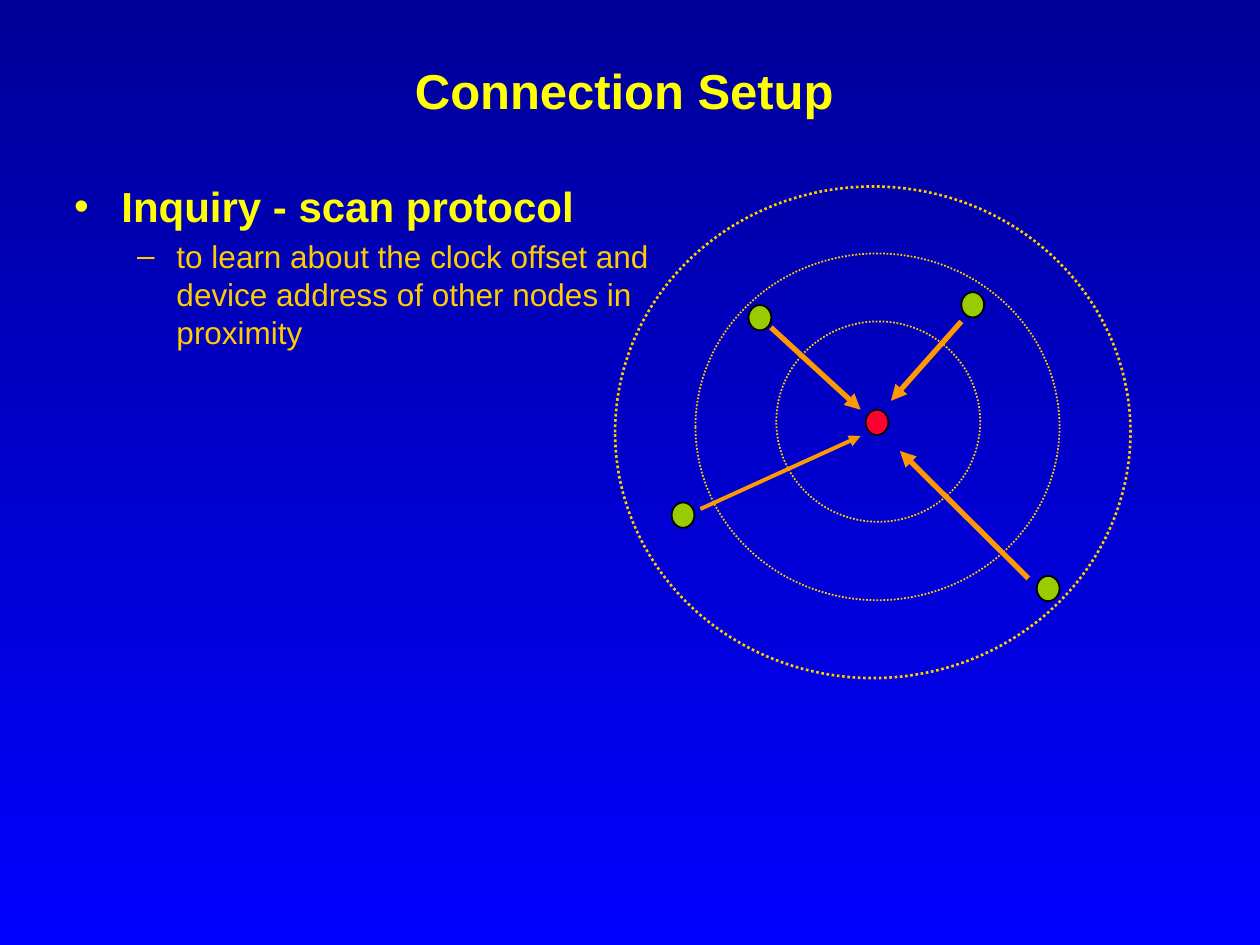
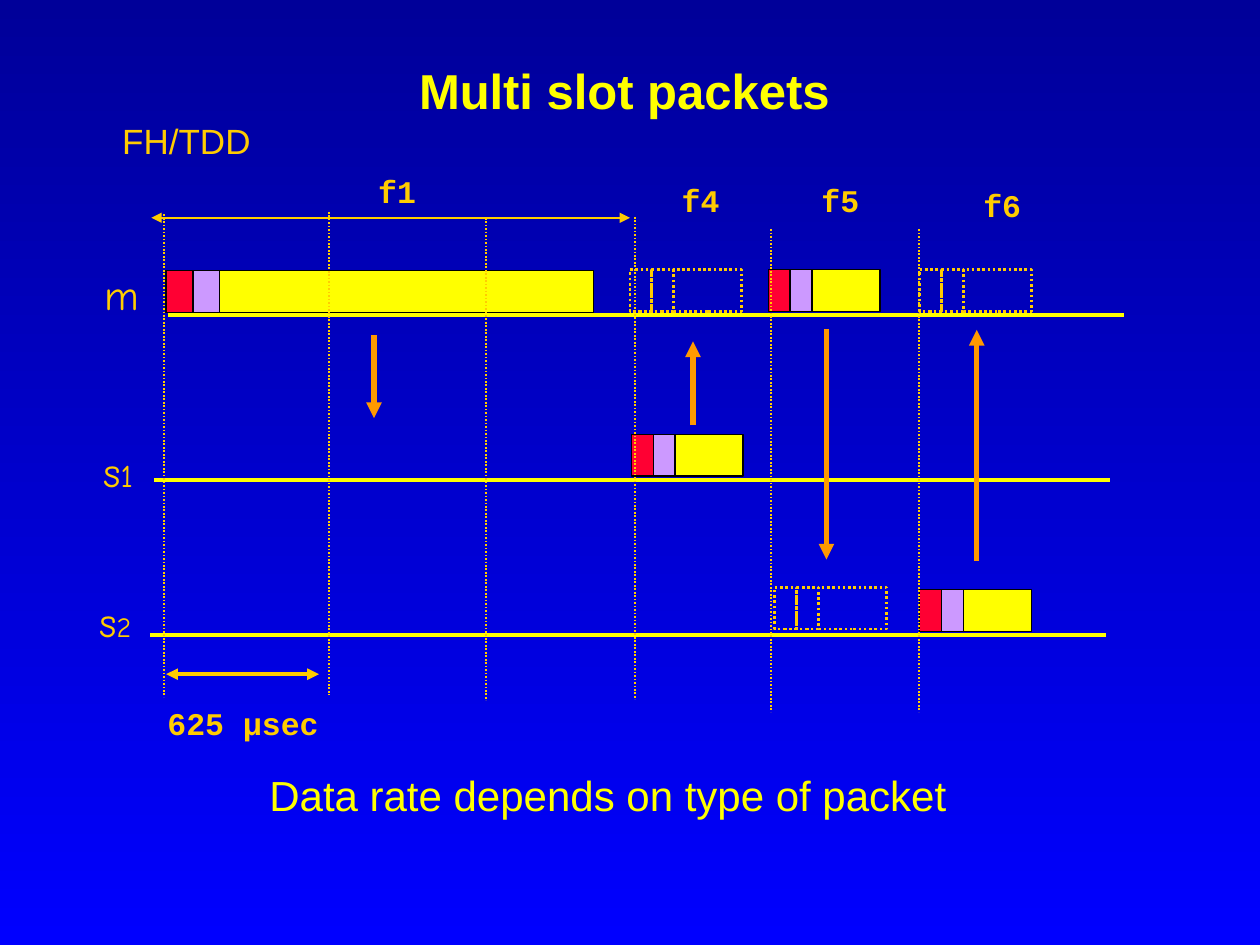
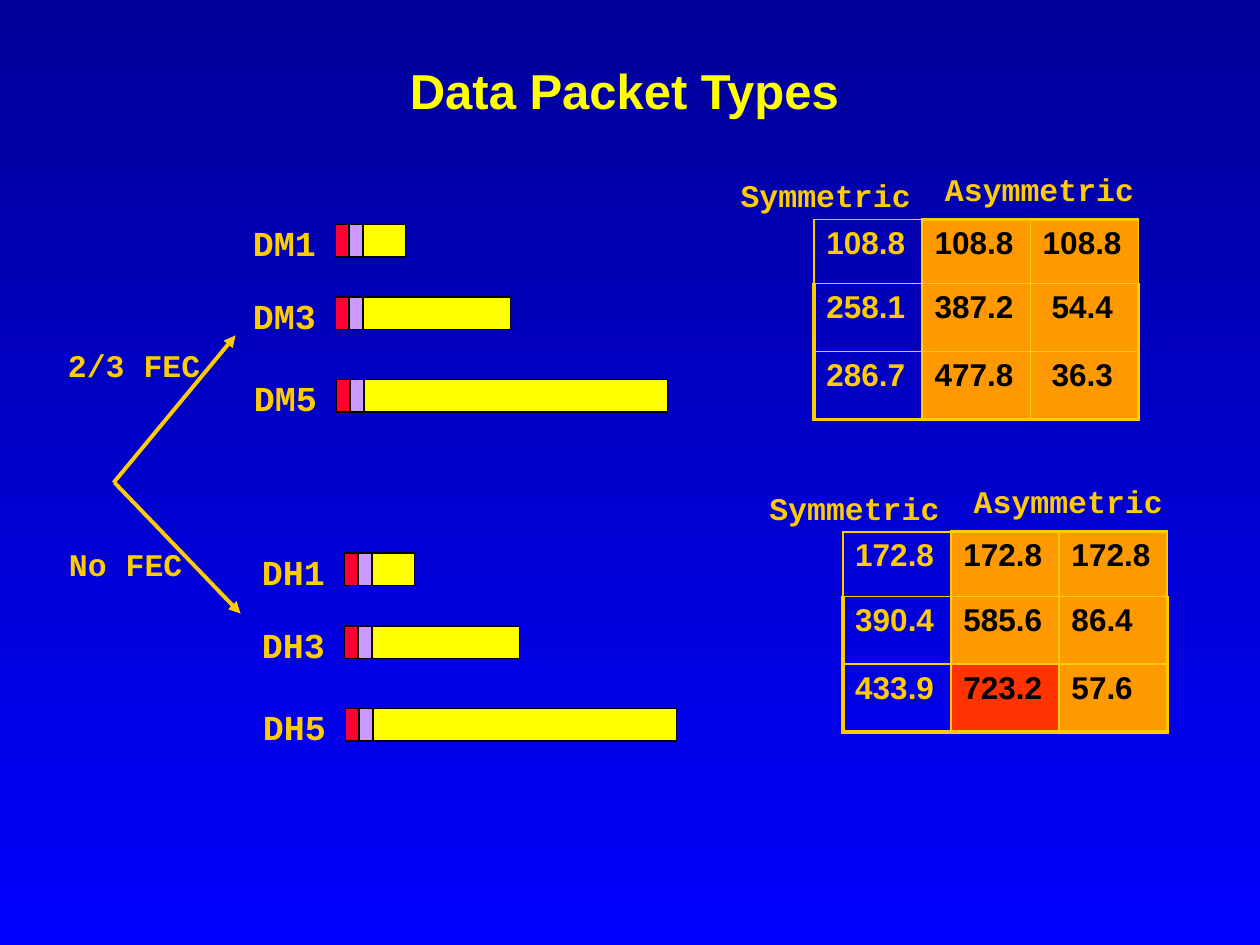
"""Build three slides on short-range radio connection setup and packet types."""
from dataclasses import dataclass

from lxml.etree import SubElement
from pptx import Presentation
from pptx.dml.color import RGBColor
from pptx.enum.dml import MSO_LINE
from pptx.enum.shapes import MSO_CONNECTOR, MSO_SHAPE
from pptx.enum.text import MSO_ANCHOR, MSO_AUTO_SIZE, PP_ALIGN
from pptx.oxml.ns import qn
from pptx.util import Cm, Pt


@dataclass(frozen=True)
class Theme:
    night: RGBColor = RGBColor(0x00, 0x00, 0x99)
    blue: RGBColor = RGBColor(0x00, 0x00, 0xFF)
    yellow: RGBColor = RGBColor(0xFF, 0xFF, 0x00)
    gold: RGBColor = RGBColor(0xFF, 0xCC, 0x00)
    orange: RGBColor = RGBColor(0xFF, 0x99, 0x00)
    red: RGBColor = RGBColor(0xFF, 0x00, 0x33)
    highlight: RGBColor = RGBColor(0xFF, 0x33, 0x00)
    violet: RGBColor = RGBColor(0xCC, 0x99, 0xFF)
    green: RGBColor = RGBColor(0x99, 0xCC, 0x00)
    black: RGBColor = RGBColor(0x00, 0x00, 0x00)
    sans: str = "Arial"
    mono: str = "Courier New"
    hand: str = "Comic Neue"
    title: int = 28
    large: int = 24
    medium: int = 20
    normal: int = 18
    small: int = 16


THEME = Theme()


def add_outline(slide, kind, at, fill, line, width, dash=None):
    """Add a preset shape with an optional fill; at is in centimetres."""
    shape = slide.shapes.add_shape(kind, *map(Cm, at))
    shape.shadow.inherit = False
    if fill is None:
        shape.fill.background()
    else:
        shape.fill.solid()
        shape.fill.fore_color.rgb = fill
    shape.line.color.rgb = line
    shape.line.width = Pt(width)
    shape.line.dash_style = dash


def add_line(slide, start, end, color, width, dash=None, arrows=()):
    """Add a straight line; arrows names the ends that carry a triangle."""
    connector = slide.shapes.add_connector(MSO_CONNECTOR.STRAIGHT, *map(Cm, start + end))
    connector.line.color.rgb = color
    connector.line.width = Pt(width)
    connector.line.dash_style = dash
    properties = connector.element.spPr
    for arrow in arrows:
        SubElement(properties.find(qn("a:ln")), qn(f"a:{arrow}"), type="triangle")
    SubElement(properties, qn("a:effectLst"))


TO_END = ("tailEnd",)
BOTH_ENDS = ("headEnd", "tailEnd")
DOTTED = MSO_LINE.ROUND_DOT

prs = Presentation()
prs.slide_width, prs.slide_height = Cm(25.4), Cm(19.05)

backdrop = prs.slide_master.background.fill
backdrop.gradient()
backdrop.gradient_angle = 270
for stop, color in zip(backdrop.gradient_stops, (THEME.night, THEME.blue)):
    stop.color.rgb = color

slides = []
for heading, layout in (("Connection Setup", 1), ("Multi slot packets", 5), ("Data Packet Types", 5)):
    slide = prs.slides.add_slide(prs.slide_layouts[layout])
    title = slide.shapes.title
    title.left, title.top, title.width, title.height = map(Cm, (2.74, 1.07, 19.69, 1.47))
    frame = title.text_frame
    frame.auto_size = MSO_AUTO_SIZE.NONE
    frame.vertical_anchor = MSO_ANCHOR.MIDDLE
    frame.margin_left = frame.margin_top = frame.margin_right = frame.margin_bottom = 0
    frame.paragraphs[0].alignment = PP_ALIGN.CENTER
    run = frame.paragraphs[0].add_run()
    run.text = heading
    run.font.name, run.font.size, run.font.bold = THEME.sans, Pt(THEME.title), True
    run.font.color.rgb = THEME.yellow
    slides.append(slide)
setup, multi_slot, packet_types = slides

inquiry = setup.placeholders[1]
inquiry.left, inquiry.top, inquiry.width, inquiry.height = map(Cm, (1.24, 3.51, 12.52, 4.45))
inquiry.text_frame.auto_size = MSO_AUTO_SIZE.NONE
for level, (wording, size, color) in enumerate((
    ("Inquiry - scan protocol", THEME.large, THEME.yellow),
    ("to learn about the clock offset and device address of other nodes in proximity",
     THEME.normal, THEME.gold),
)):
    paragraph = inquiry.text_frame.add_paragraph() if level else inquiry.text_frame.paragraphs[0]
    paragraph.level = level
    paragraph.space_before = Pt(size * 0.2 * level)
    run = paragraph.add_run()
    run.text = wording
    run.font.name, run.font.size, run.font.bold = THEME.sans, Pt(size), level == 0
    run.font.color.rgb = color

NODE = (0.46, 0.51)
add_outline(setup, MSO_SHAPE.OVAL, (17.45, 8.26) + NODE, THEME.red, THEME.black, 1)
for ring, width in (
    ((14.02, 5.11, 7.34, 6.99), 1),
    ((15.65, 6.48, 4.11, 4.04), 1),
    ((12.4, 3.76, 10.39, 9.91), 1.5),
):
    add_outline(setup, MSO_SHAPE.OVAL, ring, None, THEME.gold, width, DOTTED)
for node, start, end, width in (
    ((13.54, 10.13), (14.12, 10.26), (17.35, 8.79), 2.25),
    ((15.09, 6.15), (15.54, 6.6), (17.35, 8.26), 3),
    ((19.38, 5.89), (19.38, 6.48), (17.96, 8.08), 3),
    ((20.9, 11.61), (20.73, 11.66), (18.14, 9.09), 3),
):
    add_line(setup, start, end, THEME.orange, width, arrows=TO_END)
    add_outline(setup, MSO_SHAPE.OVAL, node + NODE, THEME.green, THEME.black, 1)

mono_bold = (THEME.mono, True, THEME.gold)
centered = (PP_ALIGN.CENTER, MSO_ANCHOR.MIDDLE)
top_left = (PP_ALIGN.LEFT, MSO_ANCHOR.TOP)
labels = [
    (multi_slot, (1.98, 2.29, 3.56, 1.09), [("FH/TDD", THEME.medium)],
     (THEME.sans, False, THEME.gold), centered),
    (multi_slot, (5.18, 15.39, 14.15, 1.27), [("Data rate depends on type of packet", THEME.large)],
     (THEME.sans, False, THEME.yellow), (PP_ALIGN.LEFT, MSO_ANCHOR.MIDDLE)),
]

for left, top, label_at, station in (
    (3.38, 6.35, (1.85, 5.28, 1.17, 1.27), [("m", THEME.large)]),
    (3.1, 9.68, (1.83, 8.86, 1.22, 1.27), [("s", THEME.large), ("1", THEME.normal)]),
    (3.02, 12.8, (1.75, 11.89, 1.27, 1.27), [("s", THEME.large), ("2", THEME.small)]),
):
    add_line(multi_slot, (left, top), (left + 19.28, top), THEME.yellow, 2.25)
    labels.append((multi_slot, label_at, station, (THEME.hand, False, THEME.gold), top_left))

for at, wording in (
    ((3.12, 14.07, 3.56, 1.02), "625 µsec"),
    ((7.37, 3.33, 1.27, 1.02), "f1"),
    ((13.44, 3.53, 1.37, 1.02), "f4"),
    ((16.1, 3.53, 1.68, 1.02), "f5"),
    ((19.25, 3.63, 1.91, 1.02), "f6"),
):
    labels.append((multi_slot, at, [(wording, THEME.normal)], mono_bold, centered))

SHORT = (0.84, 0.44, 1.37)
packets = [
    (multi_slot, (3.35, 5.46), (0.84, 0.54, 7.54), True),
    (multi_slot, (12.73, 8.76), SHORT, True),
    (multi_slot, (15.49, 5.44), SHORT, True),
    (multi_slot, (18.54, 11.89), SHORT, True),
    (multi_slot, (12.7, 5.44), SHORT, False),
    (multi_slot, (15.62, 11.84), SHORT, False),
    (multi_slot, (18.54, 5.44), SHORT, False),
]
for family, shift, drop in (("DM", 0, 0), ("DH", 0.18, 6.63)):
    for slots, left, top, payload in ((1, 6.76, 4.52, 0.86), (3, 6.76, 5.99, 2.97), (5, 6.78, 7.65, 6.12)):
        left, top = left + shift, top + drop
        packets.append((packet_types, (left, top), (0.66, 0.28, payload), True))
        labels.append((packet_types, (left - 1.91, top - 0.18, 1.78, 1.09),
                       [(f"{family}{slots}", THEME.medium)], mono_bold, top_left))

for slide, (left, top), (height, header, payload), sent in packets:
    for part, (width, color) in enumerate(((header, THEME.red), (header, THEME.violet), (payload, THEME.yellow))):
        at = (left + part * header, top, width, height)
        if sent:
            add_outline(slide, MSO_SHAPE.RECTANGLE, at, color, THEME.black, 0.75)
        else:
            add_outline(slide, MSO_SHAPE.RECTANGLE, at, None, THEME.gold, 1.5, DOTTED)

for slot_start, top in ((3.3, 4.32), (6.63, 4.27), (9.8, 4.39), (12.8, 4.37), (15.54, 4.62), (18.52, 4.62)):
    add_line(multi_slot, (slot_start, top), (slot_start, top + 9.73), THEME.gold, 1, DOTTED)
for x, sender, receiver in ((7.54, 6.76, 8.43), (13.97, 8.56, 6.88), (16.66, 6.63, 11.28), (19.69, 11.3, 6.65)):
    add_line(multi_slot, (x, sender), (x, receiver), THEME.orange, 3, arrows=TO_END)
add_line(multi_slot, (3.35, 13.59), (6.43, 13.59), THEME.gold, 2.25, arrows=BOTH_ENDS)
add_line(multi_slot, (3.05, 4.39), (12.7, 4.39), THEME.gold, 1, arrows=BOTH_ENDS)

for start, end, at, wording in (
    ((2.29, 9.73), (4.75, 6.76), (1.12, 6.86, 3.18, 1.02), "2/3 FEC"),
    ((2.31, 9.73), (4.85, 12.37), (1.14, 10.87, 2.79, 1.02), "No FEC"),
):
    add_line(packet_types, start, end, THEME.gold, 2.25, arrows=TO_END)
    labels.append((packet_types, at, [(wording, THEME.normal)], mono_bold, top_left))

for shift, drop, short_indent, rates in (
    (0, 0, 0.18, (("108.8", "108.8", "108.8"), ("258.1", "387.2", "54.4"), ("286.7", "477.8", "36.3"))),
    (0.58, 6.3, 0, (("172.8", "172.8", "172.8"), ("390.4", "585.6", "86.4"), ("433.9", "723.2", "57.6"))),
):
    for wording, left, top, width in (("Symmetric", 14.68, 3.43, 3.94), ("Asymmetric", 18.8, 3.3, 4.32)):
        labels.append((packet_types, (left + shift, top + drop, width, 1.02),
                       [(wording, THEME.normal)], mono_bold, top_left))
    table = packet_types.shapes.add_table(
        3, 3, Cm(16.41 + shift), Cm(4.42 + drop), Cm(6.54), Cm(4.04)).table
    table.first_row = table.horz_banding = False
    for column in table.columns:
        column.width = Cm(2.18)
    for row, height in zip(table.rows, (1.3, 1.37, 1.37)):
        row.height = Cm(height)
    for r, row_rates in enumerate(rates):
        for c, rate in enumerate(row_rates):
            cell = table.cell(r, c)
            cell.margin_left = Cm(0.25 + (short_indent if len(rate) == 4 else 0))
            thick_sides = {"lnL": c == 0 and r > 0, "lnR": c == 2 and r > 0,
                           "lnT": r == 0 and c > 0, "lnB": r == 2}
            for side, thick in thick_sides.items():
                border = SubElement(cell._tc.get_or_add_tcPr(), qn(f"a:{side}"),
                                    w=str(Pt(2.25 if thick else 1)))
                SubElement(SubElement(border, qn("a:solidFill")), qn("a:srgbClr"), val=str(THEME.gold))
            if c == 0:
                cell.fill.background()
            else:
                cell.fill.solid()
                cell.fill.fore_color.rgb = THEME.highlight if rate == "723.2" else THEME.orange
            run = cell.text_frame.paragraphs[0].add_run()
            run.text = rate
            run.font.name, run.font.size, run.font.bold = THEME.sans, Pt(THEME.normal), True
            run.font.color.rgb = THEME.black if c else THEME.gold

for slide, at, wording, (font, bold, color), (alignment, anchor) in labels:
    frame = slide.shapes.add_textbox(*map(Cm, at)).text_frame
    frame.word_wrap = False
    frame.vertical_anchor = anchor
    frame.paragraphs[0].alignment = alignment
    for text, size in wording:
        run = frame.paragraphs[0].add_run()
        run.text = text
        run.font.name, run.font.size, run.font.bold = font, Pt(size), bold
        run.font.color.rgb = color

prs.save("out.pptx")
